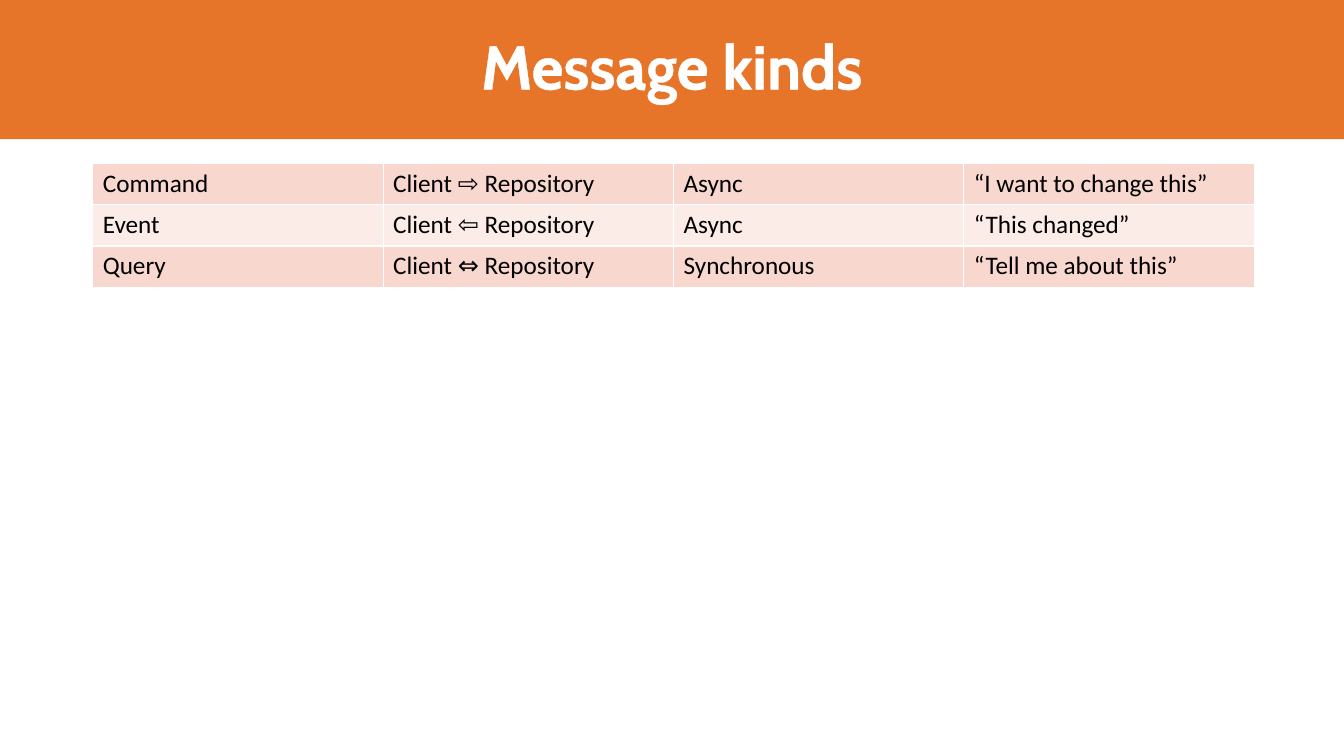
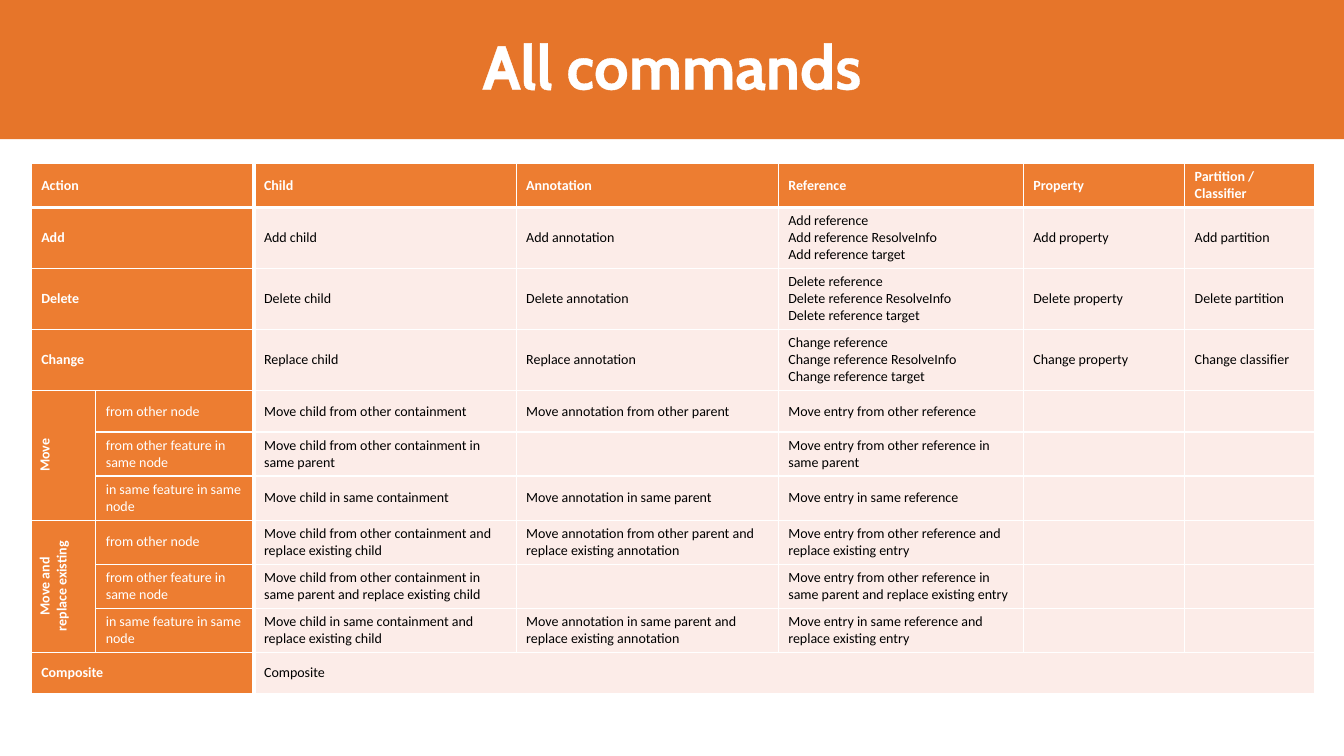
"""Build two slides about message kinds and the commands among them."""
from lxml.etree import SubElement as Sub
from pptx import Presentation
from pptx.dml.color import RGBColor
from pptx.enum.shapes import MSO_SHAPE as Shape
from pptx.enum.text import MSO_ANCHOR as Anchor, PP_ALIGN as Align
from pptx.oxml.ns import qn
from pptx.util import Inches, Pt

WHITE = RGBColor(0xFF, 0xFF, 0xFF)
BLACK = RGBColor(0x00, 0x00, 0x00)
BAND = RGBColor(0xE6, 0x75, 0x2A)
HEAD = RGBColor(0xED, 0x7D, 0x31)
DARK = RGBColor(0xF8, 0xD7, 0xCE)
PALE = RGBColor(0xFC, 0xEC, 0xE8)

WIDTH, HEIGHT = 13.33, 7.5
BAND_H, TOP, ROW_H = 1.38, 1.62, 0.41
THIN, THICK = 1, 3

TITLE = {"name": "Cabin", "size": Pt(44), "bold": True}
KIND = {"name": "Calibri", "size": Pt(18), "bold": False}
PLAIN = {"name": "Calibri", "size": Pt(10), "bold": False}
BOLD = {**PLAIN, "bold": True}

KINDS = [
    ("Command", "Client ⇨ Repository", "Async", "“I want to change this”"),
    ("Event", "Client ⇦ Repository", "Async", "“This changed”"),
    ("Query", "Client ⇔ Repository", "Synchronous", "“Tell me about this”"),
]
KIND_COLS = [2.88] * 4

ACTIONS = [
    ("Action", "", "Child", "Annotation", "Reference", "Property",
     "Partition / Classifier"),
    ("Add", "", "Add child", "Add annotation",
     "Add reference\nAdd reference ResolveInfo\nAdd reference target",
     "Add property", "Add partition"),
    ("Delete", "", "Delete child", "Delete annotation",
     "Delete reference\nDelete reference ResolveInfo\nDelete reference target",
     "Delete property", "Delete partition"),
    ("Change", "", "Replace child", "Replace annotation",
     "Change reference\nChange reference ResolveInfo\nChange reference target",
     "Change property", "Change classifier"),
    ("Move", "from other node", "Move child from other containment",
     "Move annotation from other parent",
     "Move entry from other reference", "", ""),
    ("", "from other feature in same node",
     "Move child from other containment in same parent", "",
     "Move entry from other reference in same parent", "", ""),
    ("", "in same feature in same node", "Move child in same containment",
     "Move annotation in same parent", "Move entry in same reference", "", ""),
    ("Move and\vreplace existing", "from other node",
     "Move child from other containment and replace existing child",
     "Move annotation from other parent and replace existing annotation",
     "Move entry from other reference and replace existing entry", "", ""),
    ("", "from other feature in same node",
     "Move child from other containment in same parent and replace existing child",
     "",
     "Move entry from other reference in same parent and replace existing entry",
     "", ""),
    ("", "in same feature in same node",
     "Move child in same containment and replace existing child",
     "Move annotation in same parent and replace existing annotation",
     "Move entry in same reference and replace existing entry", "", ""),
    ("Composite", "", "Composite", "", "", "", ""),
]
ACTION_COLS = [0.64, 1.57, 2.6, 2.6, 2.43, 1.6, 1.29]
WIDE = [(row, 0, row, 1) for row in (0, 1, 2, 3, 10)] + [(10, 2, 10, 6)]
TALL = [(row, 0, row + 2, 0) for row in (4, 7)]


def style(font, color, form):
    for key, val in form.items():
        setattr(font, key, val)
    font.color.rgb = color


def outline(props, tag, width):
    line = Sub(props, qn(tag), w=str(Pt(width)))
    fill = Sub(line, qn("a:solidFill"))
    Sub(fill, qn("a:srgbClr"), val=str(WHITE))
    return line


def add_slide(deck, title):
    slide = deck.slides.add_slide(deck.slide_layouts[6])
    band = slide.shapes.add_shape(
        Shape.RECTANGLE, 0, 0, Inches(WIDTH), Inches(BAND_H))
    band.shadow.inherit = False
    band.fill.solid()
    band.fill.fore_color.rgb = BAND
    band.line.fill.background()
    frame = band.text_frame
    frame.vertical_anchor = Anchor.MIDDLE
    para = frame.paragraphs[0]
    para.alignment, para.line_spacing = Align.CENTER, 0.9
    run = para.add_run()
    run.text = title
    style(run.font, WHITE, TITLE)
    props = run.font._element
    props.insert(0, outline(props, "a:ln", 0.75))
    return slide


def add_grid(slide, left, cols, count):
    frame = slide.shapes.add_table(
        count, len(cols), Inches(left), Inches(TOP),
        Inches(sum(cols)), Inches(ROW_H * count))
    grid = frame.table
    grid.first_row = grid.horz_banding = False
    for col, width in zip(grid.columns, cols):
        col.width = Inches(width)
    for row in grid.rows:
        row.height = Inches(ROW_H)
    return grid


def fill_cell(cell, text, back, color, form, thick=""):
    props = cell._tc.get_or_add_tcPr()
    for side in "LRTB":
        outline(props, f"a:ln{side}", THICK if side in thick else THIN)
    cell.fill.solid()
    cell.fill.fore_color.rgb = back
    if text:
        cell.text = text
    for para in cell.text_frame.paragraphs:
        for run in para.runs:
            style(run.font, color, form)


def add_kinds(deck):
    grid = add_grid(add_slide(deck, "Message kinds"), 0.92, KIND_COLS, len(KINDS))
    for row, texts in enumerate(KINDS):
        for col, text in enumerate(texts):
            back = PALE if row % 2 else DARK
            fill_cell(grid.cell(row, col), text, back, BLACK, KIND)


def add_actions(deck):
    slide = add_slide(deck, "All commands")
    grid = add_grid(slide, 0.31, ACTION_COLS, len(ACTIONS))
    for row, col, last, end in WIDE + TALL:
        grid.cell(row, col).merge(grid.cell(last, end))
    for row, texts in enumerate(ACTIONS):
        for col, text in enumerate(texts):
            cell = grid.cell(row, col)
            label = row == 0 or col < 2
            back, color = (HEAD, WHITE) if label else (PALE, BLACK)
            form = BOLD if row == 0 or col == 0 else PLAIN
            thick = "B" if row == 0 else ""
            if col + cell.span_width == 2:
                thick += "R"
            if col == 2:
                thick += "L"
            fill_cell(cell, text, back, color, form, thick)
            cell.vertical_anchor = Anchor.MIDDLE
    for row, col, _, _ in TALL:
        cell = grid.cell(row, col)
        cell._tc.get_or_add_tcPr().set("vert", "vert270")
        cell.text_frame.paragraphs[0].alignment = Align.CENTER


def main():
    deck = Presentation()
    deck.slide_width, deck.slide_height = Inches(WIDTH), Inches(HEIGHT)
    add_kinds(deck)
    add_actions(deck)
    deck.save("out.pptx")


if __name__ == "__main__":
    main()
